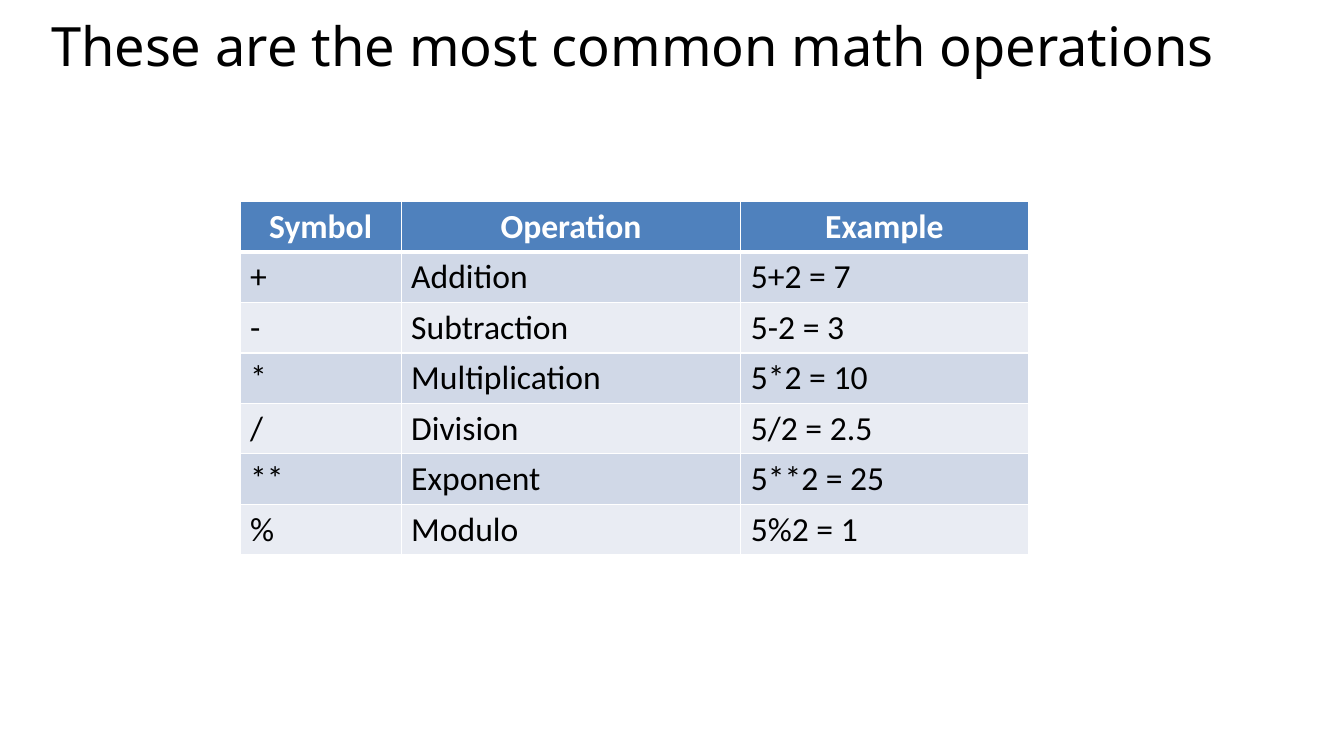
from dataclasses import dataclass

from lxml import etree
from pptx import Presentation
from pptx.dml.color import RGBColor
from pptx.enum.text import MSO_ANCHOR, PP_ALIGN
from pptx.oxml.ns import qn
from pptx.util import Cm, Pt

TOP = MSO_ANCHOR.TOP
LEFT, CENTER = PP_ALIGN.LEFT, PP_ALIGN.CENTER


@dataclass(frozen=True)
class Theme:
    """Colours, fonts and type sizes of the slide."""
    ink: str = "000000"
    paper: str = "FFFFFF"
    head: str = "4F81BD"
    bands: tuple = ("D0D8E7", "E9ECF3")
    title_font: str = "Noto Sans"
    table_font: str = "Calibri"
    title_size: float = 38.7
    table_size: float = 24
    thin: float = 0.96
    thick: float = 3


THEME = Theme()
TITLE = "These are the most common math operations"
HEADS = ("Symbol", "Operation", "Example")
ROWS = (
    ("+", "Addition", "5+2 = 7"),
    ("-", "Subtraction", "5-2 = 3"),
    ("*", "Multiplication", "5*2 = 10"),
    ("/", "Division", "5/2 = 2.5"),
    ("**", "Exponent", "5**2 = 25"),
    ("%", "Modulo", "5%2 = 1"),
)
COLS = (4.06, 8.56, 7.24)
ROW_H = 1.24


def write(frame, text, color, para, font):
    """Put one styled paragraph into a text frame."""
    line = frame.paragraphs[0]
    run = line.add_run()
    run.text = text
    run.font.color.rgb = RGBColor.from_string(color)
    for part, values in ((line, para), (run.font, font)):
        for name, value in values.items():
            setattr(part, name, value)


def add_title(slide, box):
    """Place the title at the top of its box."""
    frame = slide.shapes.add_textbox(*map(Cm, box)).text_frame
    frame.word_wrap = True
    frame.vertical_anchor = TOP
    write(frame, TITLE, THEME.ink, {"line_spacing": 0.8},
          {"name": THEME.title_font, "size": Pt(THEME.title_size)})


def add_edges(cell, widths):
    """Draw cell borders from a dict of side and width in points."""
    props = cell._tc.get_or_add_tcPr()
    for spot, (side, width) in enumerate(widths.items()):
        edge = etree.Element(qn(f"a:ln{side}"), w=str(int(Pt(width))))
        fill = etree.SubElement(edge, qn("a:solidFill"))
        etree.SubElement(fill, qn("a:srgbClr"), val=THEME.paper)
        props.insert(spot, edge)


def add_grid(slide, box):
    """Place the table of operations, with a header and banded rows."""
    lines = (HEADS, *ROWS)
    table = slide.shapes.add_table(len(lines), len(HEADS), *map(Cm, box)).table
    for col, width in zip(table.columns, COLS):
        col.width = Cm(width)
    for r, line in enumerate(lines):
        table.rows[r].height = Cm(ROW_H)
        head = r == 0
        shade = THEME.head if head else THEME.bands[(r - 1) % 2]
        color = THEME.paper if head else THEME.ink
        edges = dict.fromkeys("LRTB", THEME.thin)
        if r < 2:
            edges["B" if head else "T"] = THEME.thick
        for c, text in enumerate(line):
            cell = table.cell(r, c)
            cell.fill.solid()
            cell.fill.fore_color.rgb = RGBColor.from_string(shade)
            add_edges(cell, edges)
            write(cell.text_frame, text, color,
                  {"alignment": CENTER if head else LEFT},
                  {"name": THEME.table_font, "size": Pt(THEME.table_size),
                   "bold": head})


def main():
    """Build the slide and save it."""
    deck = Presentation()
    deck.slide_width, deck.slide_height = Cm(33.87), Cm(19.05)
    slide = deck.slides.add_slide(deck.slide_layouts[6])
    add_title(slide, (1.04, 0.5, 32, 2.95))
    add_grid(slide, (6.05, 5.08, sum(COLS), ROW_H * (len(ROWS) + 1)))
    deck.save("out.pptx")


main()
